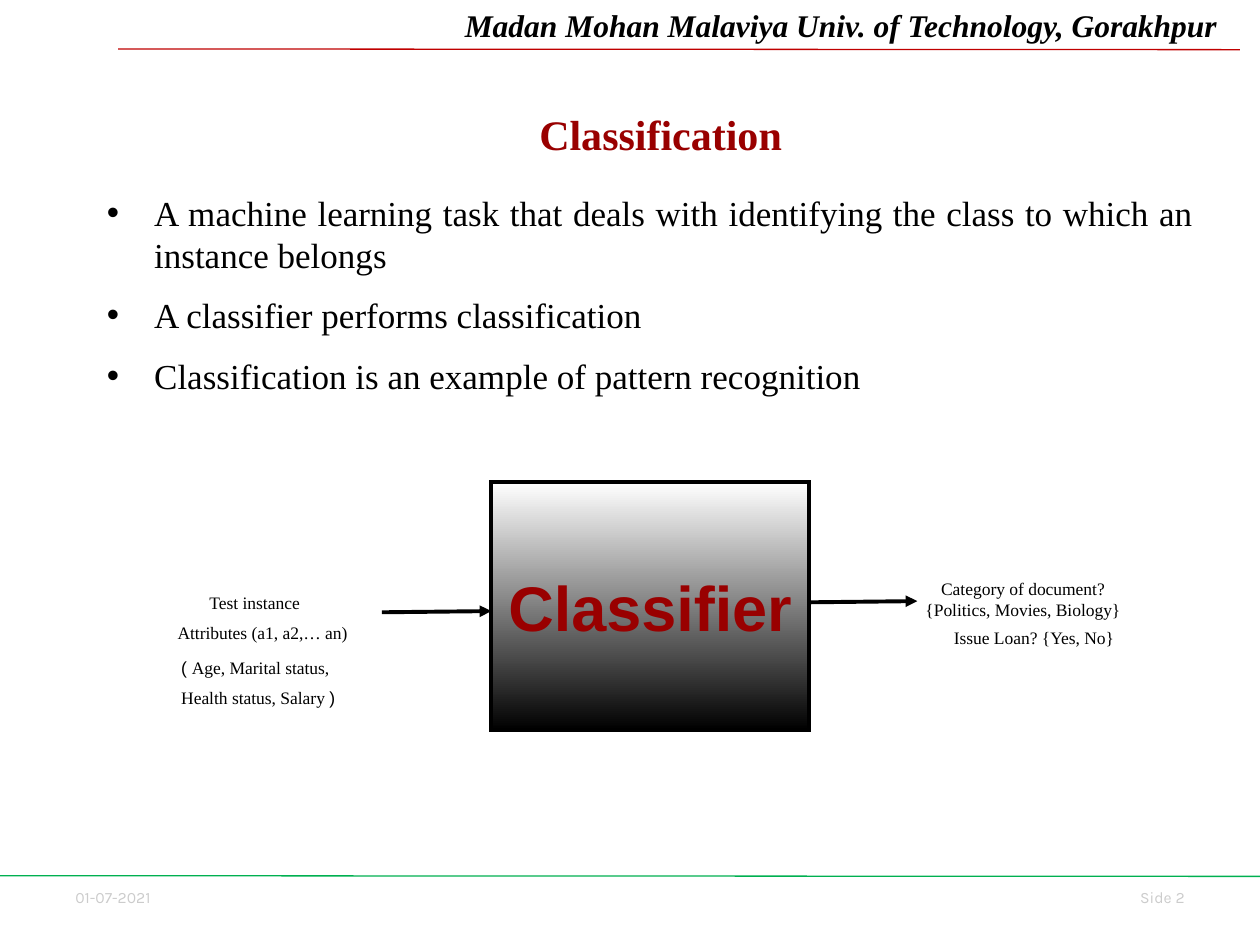
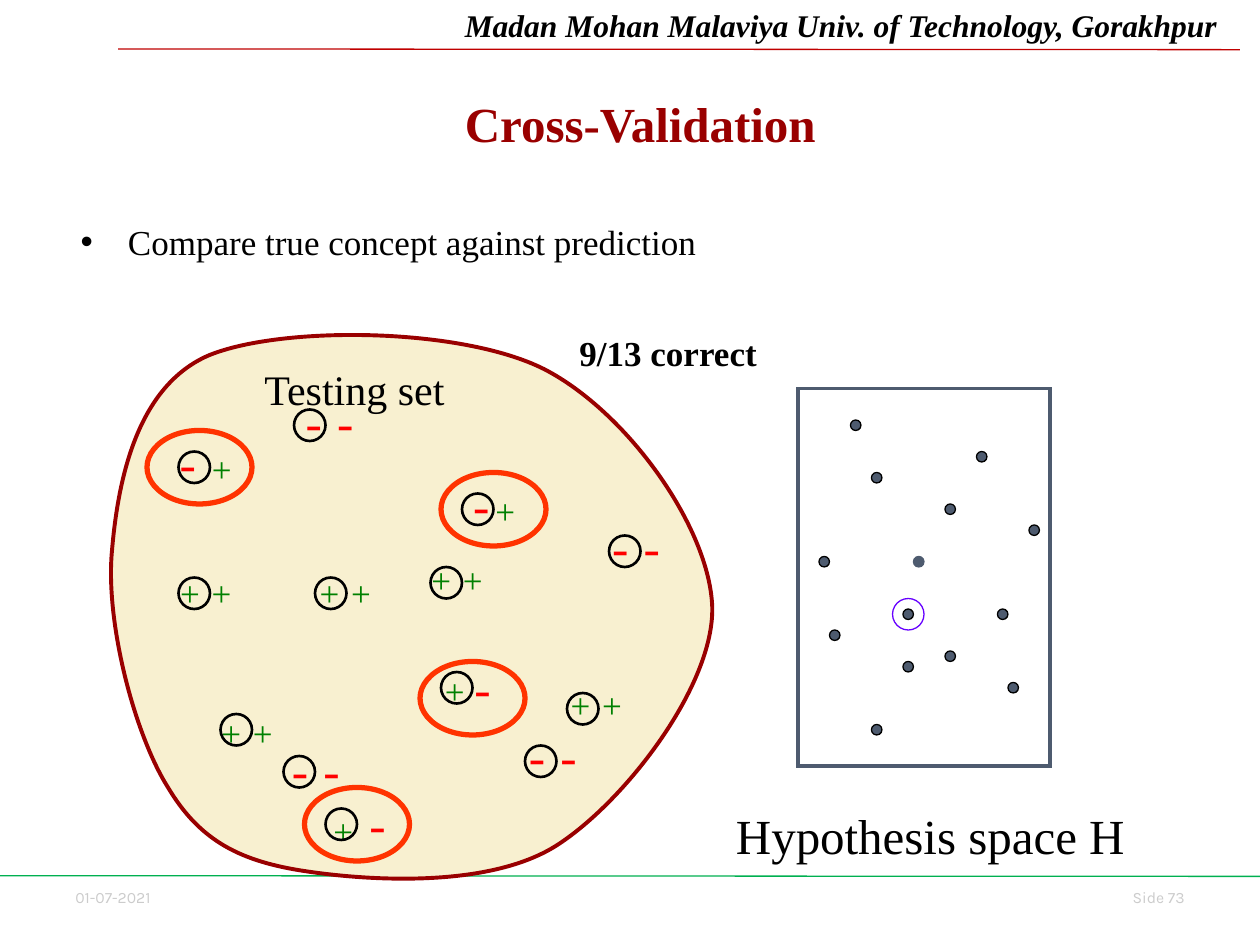
from lxml.etree import SubElement as Sub
from pptx import Presentation
from pptx.dml.color import RGBColor
from pptx.enum.shapes import MSO_CONNECTOR as Conn, MSO_SHAPE as Kind
from pptx.enum.text import MSO_ANCHOR as Anchor, PP_ALIGN as Align
from pptx.oxml.ns import qn
from pptx.util import Pt

rgb = RGBColor.from_string
RED, BLACK, SLATE = "990000", "000000", "4E5B6F"
SERIF = "Times New Roman"


def write(slide, box, paras, size, color=BLACK, face=SERIF, align=Align.LEFT,
          gap=0, bullet=False, wrap=True, **style):
    """Add a text box; a paragraph is a string or a list of (text, font) runs."""
    frame = slide.shapes.add_textbox(*map(Pt, box)).text_frame
    frame.word_wrap = wrap
    for i, runs in enumerate(paras):
        para = frame.add_paragraph() if i else frame.paragraphs[0]
        para.alignment = align
        if i:
            para.space_before = Pt(gap)
        if bullet:
            props = para._p.get_or_add_pPr()
            props.set("marL", str(Pt(27)))
            props.set("indent", str(Pt(-27)))
            Sub(props, qn("a:buFont"), typeface="Arial")
            Sub(props, qn("a:buChar"), char="•")
        for words, name in [(runs, face)] if isinstance(runs, str) else runs:
            run = para.add_run()
            run.text = words
            run.font.color.rgb = rgb(color)
            for key, val in dict(style, size=Pt(size), name=name).items():
                setattr(run.font, key, val)
    return frame


def draw(slide, kind, box, line, width, fill=None):
    """Add a preset shape with a sharp outline and an optional fill."""
    shape = slide.shapes.add_shape(kind, *map(Pt, box))
    shape.shadow.inherit = False
    shape.line.color.rgb = rgb(line)
    shape.line.width = Pt(width)
    Sub(shape.line._get_or_add_ln(), qn("a:miter"), lim="800000")
    if fill:
        shape.fill.solid()
        shape.fill.fore_color.rgb = rgb(fill)
    else:
        shape.fill.background()
    return shape


deck = Presentation()
deck.slide_width, deck.slide_height = Pt(720), Pt(540)

# Shared header, rules, footer and title
pages = [
    ("Side 2", "Classification", 24, (68.5, 58.3)),
    ("Side 73", "Cross-Validation", 28, (56.9, 49.7)),
]
for side, title, size, spot in pages:
    slide = deck.slides.add_slide(deck.slide_layouts[6])
    foot = dict(size=9, color="CCCCCC", face="Karla")
    write(slide, (36, 504, 74, 18), ["01-07-2021"], **foot)
    write(slide, (624, 504, 60, 18), [side], align=Align.RIGHT, **foot)
    write(slide, (258.5, 0, 461.5, 29),
          ["Madan Mohan Malaviya Univ. of Technology, Gorakhpur"], 18,
          bold=True, italic=True)
    for left, top, right, base, color in [
            (67.5, 28, 708.5, 28.4, "C00000"), (0, 500.4, 720, 500.8, "00B050")]:
        rule = slide.shapes.add_connector(
            Conn.STRAIGHT, Pt(left), Pt(top), Pt(right), Pt(base))
        rule.line.color.rgb = rgb(color)
        rule.line.width = Pt(0.75)
    write(slide, (*spot, 618, 54), [title], size, RED, align=Align.CENTER,
          bold=True)
first, second = deck.slides

# Classification: bullets
write(first, (54, 105.8, 635, 357), [
    "A machine learning task that deals with identifying the class to which "
    "an instance belongs",
    "A classifier performs classification",
    "Classification is an example of pattern recognition",
], 20, align=Align.JUSTIFY, gap=10.5, bullet=True)

# Classifier box
core = draw(first, Kind.RECTANGLE, (280.8, 275.6, 181.4, 141.8), BLACK, 2.25)
core.fill.gradient()
core.fill.gradient_angle = 270
for stop, color, place in zip(core.fill.gradient_stops,
                              ("FFFFFF", BLACK), (0, 1)):
    stop.color.rgb = rgb(color)
    stop.position = place
frame = core.text_frame
frame.word_wrap = False
frame.vertical_anchor = Anchor.MIDDLE
para = frame.paragraphs[0]
para.alignment = Align.CENTER
para.text = "Classifier"
para.font.color.rgb = rgb(RED)
for key, val in dict(name="Arial", size=Pt(36), bold=True).items():
    setattr(para.font, key, val)

# Arrows into and out of the box
for ends in [(218.2, 349.9, 280.8, 349.2), (462.2, 344.2, 524.2, 343.5)]:
    arrow = first.shapes.add_connector(Conn.STRAIGHT, *map(Pt, ends))
    arrow.line.color.rgb = rgb(BLACK)
    arrow.line.width = Pt(2.25)
    Sub(arrow.line._get_or_add_ln(), qn("a:tailEnd"), type="triangle")

# Input and output labels
write(first, (96.5, 372, 113, 37.5), [
    [("( ", "Arial"), ("Age, Marital status,", SERIF)],
    [("Health status, Salary ", SERIF), (")", "Arial")],
], 10, gap=5)
frame = write(first, (80.5, 335, 130, 37.5),
              ["Test instance", "Attributes (a1, a2,… an)"],
              10, align=Align.CENTER, gap=5)
frame.paragraphs[1]._p.get_or_add_pPr().set("marL", str(Pt(9)))
write(first, (538, 355, 113, 19.5), ["Issue Loan? {Yes, No}"], 10)
write(first, (519.8, 326.8, 129.5, 31.5),
      ["Category of document? {Politics, Movies, Biology}"], 10,
      align=Align.CENTER)

# Cross-validation: bullet
write(second, (39, 122.3, 522, 38), ["Compare true concept against prediction"],
      20, bullet=True)

# Testing set outline: each row is two control points and an end point
start = (175.5, 498)
curves = [
    ((138, 492.5), (114.5, 481), (96, 450)),
    ((77, 420), (60, 355.5), (64, 314.5)),
    ((67.5, 273.5), (78.5, 220.5), (119.5, 203)),
    ((161.5, 186), (263.5, 187), (311, 211)),
    ((358.5, 235.5), (405.5, 301.5), (407, 347)),
    ((408, 391.5), (358, 457), (319, 482.5)),
    ((281, 507.5), (212.5, 503.5), start),
]
trace = second.shapes.build_freeform(*map(Pt, start))
trace.add_line_segments([tuple(map(Pt, spot)) for row in curves for spot in row])
blob = trace.convert_to_shape()
track = next(blob._element.iter(qn("a:path")))
legs = track.findall(qn("a:lnTo"))
for n in range(0, len(legs), 3):
    bend = Sub(track, qn("a:cubicBezTo"))
    for leg in legs[n:n + 3]:
        bend.append(leg[0])
        track.remove(leg)
Sub(track, qn("a:close"))
blob.shadow.inherit = False
blob.fill.solid()
blob.fill.fore_color.rgb = rgb("F8F0D0")
blob.line.color.rgb = rgb(RED)
blob.line.width = Pt(2.25)

# Samples: circle, sign inside it, sign beside it
looks = {"+": (25.9, 31, 20, "008000"), "-": (23.8, 41, 28, "FF0000")}
same = [  # both signs agree, 18 points apart
    (180, 330, "+", 175.6, 323.1), (102, 330, "+", 95.8, 323.1),
    (324, 396, "+", 319, 387.1), (126, 408, "+", 119.5, 403.1),
    (246, 324, "+", 239.4, 315.4), (300, 426, "-", 295.2, 411.1),
    (162, 432, "-", 159.7, 419), (348, 306, "-", 342.7, 291.5),
    (168, 234, "-", 167.6, 220.3),
]
wrong = [
    (186, 462, "+", 183.5, 458.8, "-", 204, 450),
    (252, 384, "+", 247.1, 378.8, "-", 264, 372),
    (264, 282, "-", 263.3, 267.8, "+", 276, 276),
    (102, 258, "-", 95.6, 243.9, "+", 114, 252),
]
pairs = [(*row, row[2], row[3] + 18, row[4]) for row in same] + wrong
inner = [row[2:5] for row in pairs]
outer = [row[5:] for row in pairs]
for sign, left, top in inner + outer:
    wide, high, size, color = looks[sign]
    write(second, (left, top, wide, high), [sign], size, color, wrap=False)
for x, y, *_ in pairs:
    draw(second, Kind.OVAL, (x, y, 18, 18), BLACK, 1.5)

# Rings round the wrong predictions
for x, y in [(84, 246), (252, 270), (240, 378), (174, 450)]:
    draw(second, Kind.OVAL, (x, y, 60, 42), "FF3300", 3)

# Hypothesis space
draw(second, Kind.RECTANGLE, (456, 222, 144, 216), SLATE, 2.25)
dots = [(516, 348), (498, 270), (486, 240), (540, 288), (588, 300),
        (468, 318), (540, 372), (474, 360), (570, 348), (516, 378),
        (558, 258), (576, 390), (498, 414)]
for x, y in dots:
    draw(second, Kind.OVAL, (x, y, 6, 6), BLACK, 0.75, SLATE)
draw(second, Kind.OVAL, (522, 318, 6, 6), SLATE, 0.75, SLATE)
draw(second, Kind.OVAL, (510, 342, 18, 18), "6600FF", 0.75)

# Captions
write(second, (413.5, 457, 288, 41), ["Hypothesis space H"], 28)
write(second, (144, 204, 288, 36), ["Testing set"], 24)
write(second, (324, 186, 156, 31), ["9/13 correct"], 20, bold=True)

# Connectors carry no shadow
for slide in deck.slides:
    for props in slide.shapes._spTree.iterfind(
            qn("p:cxnSp") + "/" + qn("p:spPr")):
        Sub(props, qn("a:effectLst"))

deck.save("out.pptx")
